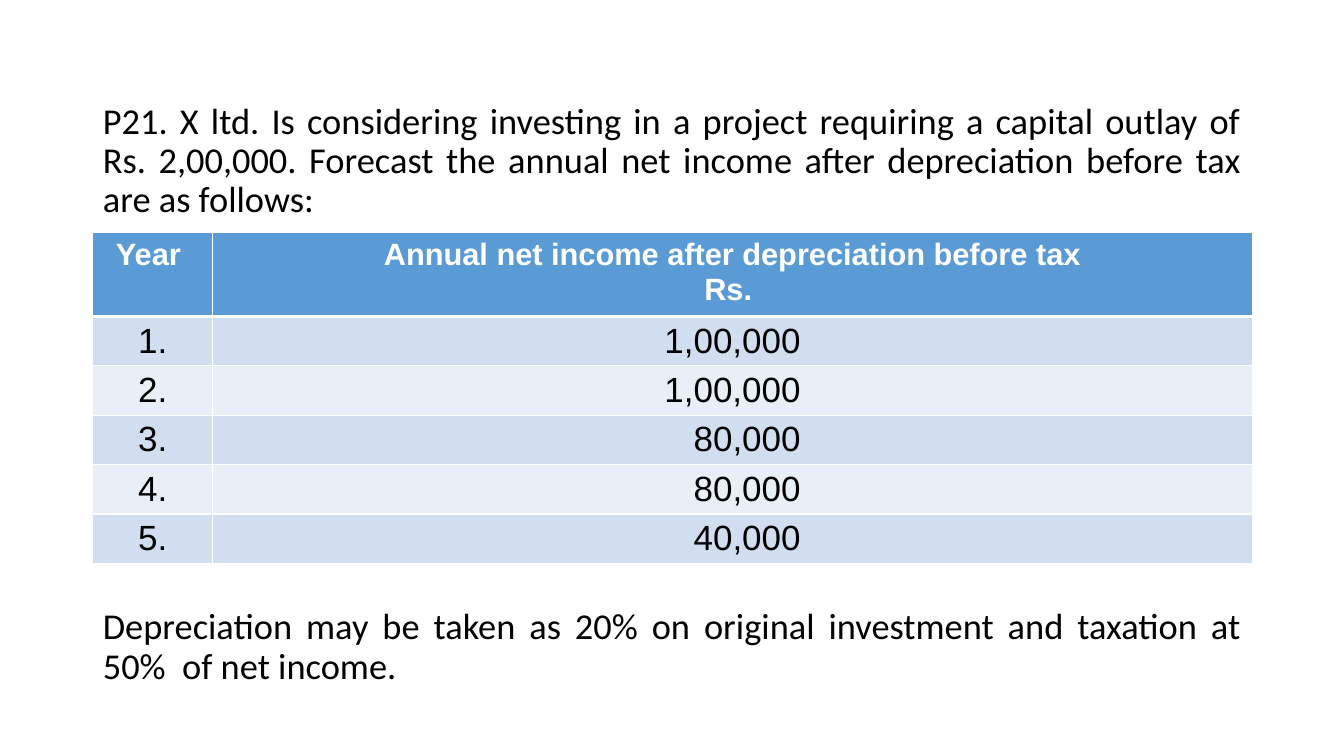
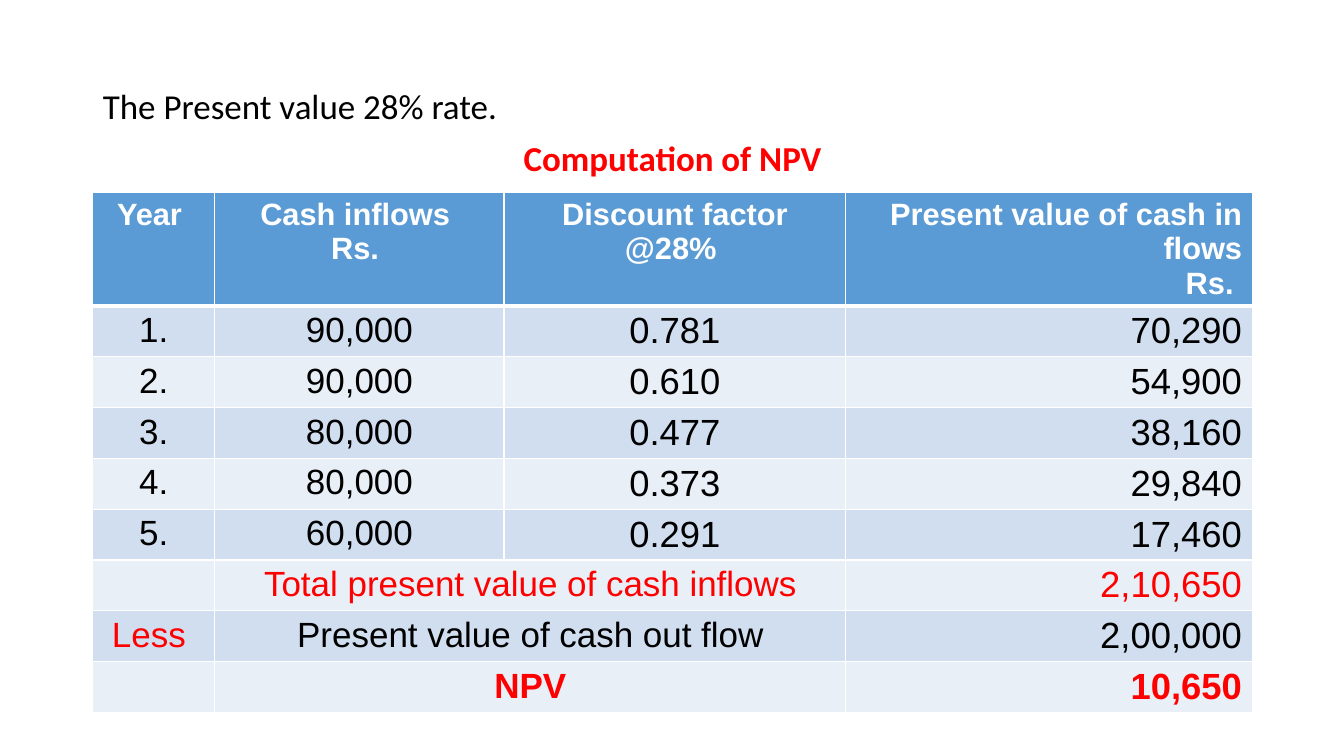
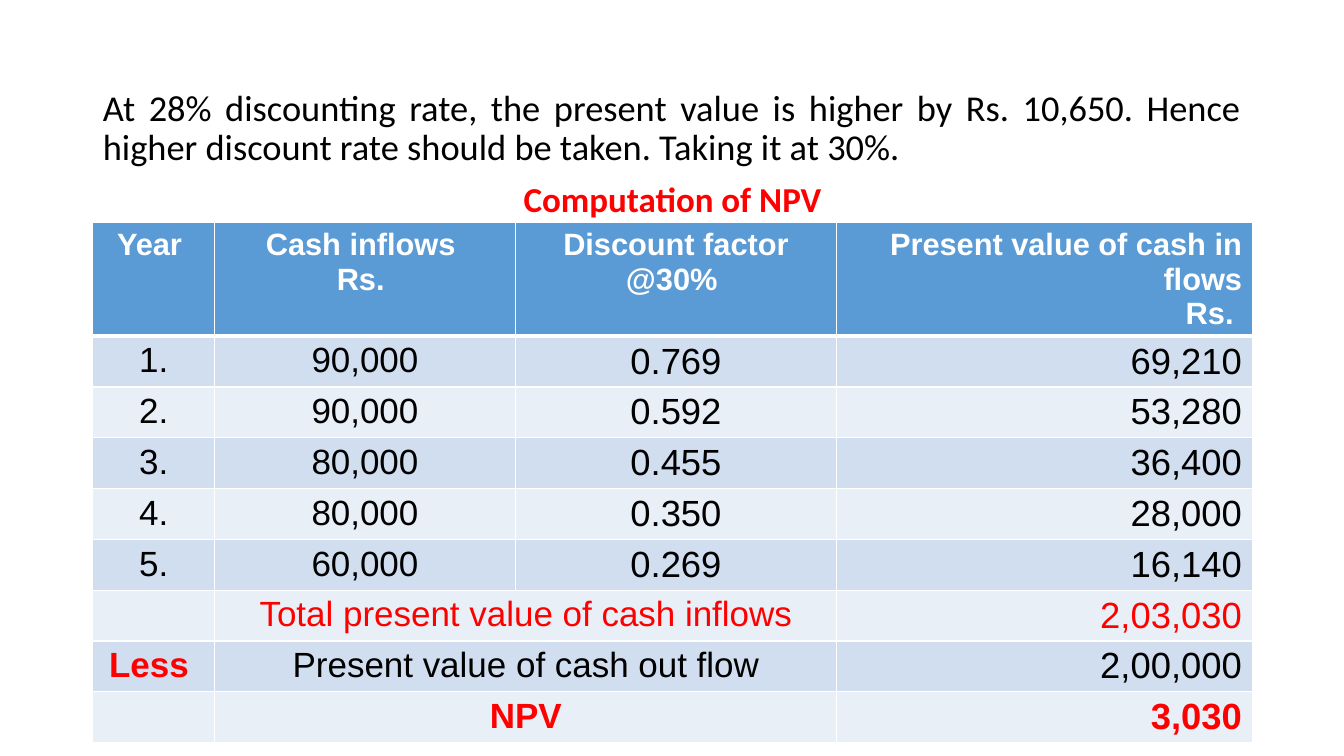
from dataclasses import dataclass

from lxml import etree
from pptx import Presentation
from pptx.dml.color import RGBColor
from pptx.enum.text import MSO_AUTO_SIZE, PP_ALIGN
from pptx.oxml.ns import qn
from pptx.util import Inches, Pt

CENTER = PP_ALIGN.CENTER
RIGHT = PP_ALIGN.RIGHT
JUSTIFY = PP_ALIGN.JUSTIFY
NO_AUTOFIT = MSO_AUTO_SIZE.NONE

BLACK = "000000"
WHITE = "FFFFFF"
RED = "FF0000"
HEADER_BLUE = "5B9BD5"
BAND_FILLS = ("D0DEEF", "E9EFF7")
BODY_FONT = "Calibri"
TABLE_FONT = "Arial"
LEFT = 0.92
WIDTH = 11.5
TITLE_AND_CONTENT = 1


@dataclass(frozen=True)
class Statement:
    text: str
    size: int = 26
    align: PP_ALIGN = JUSTIFY
    color: str = BLACK
    bold: bool = False
    space_before: int = 10


@dataclass(frozen=True)
class Entry:
    text: str
    size: int = 25
    color: str = BLACK
    bold: bool = False
    align: PP_ALIGN = CENTER
    span: int = 1
    margin_right: float = 0.1


@dataclass(frozen=True)
class Schedule:
    top: float
    columns: tuple[float, ...]
    header_height: float
    row_height: float
    rows: list[list[Entry]]


@dataclass(frozen=True)
class Problem:
    body_top: float
    body_height: float
    statements: list[Statement]
    schedule: Schedule


def rgb(color: str) -> RGBColor:
    return RGBColor.from_string(color)


def format_runs(paragraph, font_name: str, style: Statement | Entry) -> None:
    for run in paragraph.runs:
        run.font.name = font_name
        run.font.size = Pt(style.size)
        run.font.bold = style.bold
        run.font.color.rgb = rgb(style.color)


def write_body(body, problem: Problem) -> None:
    body.left, body.top = Inches(LEFT), Inches(problem.body_top)
    body.width, body.height = Inches(WIDTH), Inches(problem.body_height)
    frame = body.text_frame
    frame.auto_size = NO_AUTOFIT
    frame.text = "\n".join(statement.text for statement in problem.statements)
    for index, (paragraph, statement) in enumerate(zip(frame.paragraphs, problem.statements)):
        properties = paragraph._p.get_or_add_pPr()
        properties.set("marL", "0")
        properties.set("indent", "0")
        etree.SubElement(properties, qn("a:buNone"))
        paragraph.alignment = statement.align
        paragraph.line_spacing = 0.9
        paragraph.space_before = Pt(statement.space_before if index else 0)
        format_runs(paragraph, BODY_FONT, statement)


def add_borders(cell, top: int, bottom: int) -> None:
    properties = cell._tc.get_or_add_tcPr()
    for side, points in (("L", 1), ("R", 1), ("T", top), ("B", bottom)):
        line = etree.SubElement(properties, qn(f"a:ln{side}"), w=str(Pt(points)))
        fill = etree.SubElement(line, qn("a:solidFill"))
        etree.SubElement(fill, qn("a:srgbClr"), val=WHITE)


def paint_cell(cell, row: int) -> None:
    add_borders(cell, 3 if row == 1 else 1, 1 if row else 3)
    cell.fill.solid()
    cell.fill.fore_color.rgb = rgb(BAND_FILLS[(row - 1) % 2] if row else HEADER_BLUE)


def write_cell(cell, entry: Entry) -> None:
    cell.margin_right = Inches(entry.margin_right)
    cell.text_frame.text = entry.text
    for paragraph in cell.text_frame.paragraphs:
        paragraph.alignment = entry.align
        format_runs(paragraph, TABLE_FONT, entry)


def draw_schedule(slide, schedule: Schedule) -> None:
    row_count, column_count = len(schedule.rows), len(schedule.columns)
    height = schedule.header_height + (row_count - 1) * schedule.row_height
    table = slide.shapes.add_table(
        row_count, column_count, Inches(LEFT), Inches(schedule.top), Inches(WIDTH), Inches(height)
    ).table
    for column, width in zip(table.columns, schedule.columns):
        column.width = Inches(width)
    for row, entries in enumerate(schedule.rows):
        table.rows[row].height = Inches(schedule.row_height if row else schedule.header_height)
        for column in range(column_count):
            paint_cell(table.cell(row, column), row)
        column = 0
        for entry in entries:
            cell = table.cell(row, column)
            if entry.span > 1:
                cell.merge(table.cell(row, column + entry.span - 1))
            if entry.text:
                write_cell(cell, entry)
            column += entry.span


def heading(text: str, align: PP_ALIGN = CENTER) -> Entry:
    return Entry(text, 22, WHITE, True, align)


def amount(text: str, color: str = BLACK, bold: bool = False) -> Entry:
    return Entry(text, 26, color, bold, RIGHT)


def income_rows(incomes: list[str]) -> list[list[Entry]]:
    headings = [heading("Year "), heading("Annual net income after depreciation before tax\nRs. ")]
    return [headings] + [
        [Entry(f"{year}."), Entry(income, align=RIGHT, margin_right=4.48)]
        for year, income in enumerate(incomes, 1)
    ]


def npv_rows(rate: str, factors: list[str], present_values: list[str],
             total: str, npv: str, less_bold: bool) -> list[list[Entry]]:
    headings = [
        heading("Year "),
        heading("Cash inflows \nRs. "),
        heading(f"Discount factor @{rate} "),
        heading("Present value of cash in flows\nRs. ", RIGHT),
    ]
    years = [
        [Entry(f"{year}."), Entry(inflow), Entry(factor, 26), amount(value)]
        for year, (inflow, factor, value) in enumerate(zip(CASH_INFLOWS, factors, present_values), 1)
    ]
    summary = [
        [Entry(""), Entry("Total present value of cash inflows", color=RED, span=2), amount(total, RED)],
        [Entry("Less ", color=RED, bold=less_bold), Entry("Present value of cash out flow", span=2),
         amount("2,00,000")],
        [Entry(""), Entry("NPV", color=RED, bold=True, span=2), amount(npv, RED, True)],
    ]
    return [headings] + years + summary


CASH_INFLOWS = ["90,000", "90,000", "80,000", "80,000", "60,000"]
NPV_CAPTION = Statement("Computation of NPV", 25, CENTER, RED, True)

PROBLEMS = [
    Problem(0.97, 6.1, [
        Statement("P21. X ltd. Is considering investing in a project requiring a capital outlay of "
                  "Rs. 2,00,000. Forecast the annual net income after depreciation before tax "
                  "are as follows:"),
        Statement("Depreciation may be taken as 20% on original investment and taxation at "
                  "50%  of net income.", space_before=277),
    ], Schedule(2.31, (1.19, 10.31), 0.83, 0.49,
                income_rows(["1,00,000", "1,00,000", "80,000", "80,000", "40,000"]))),
    Problem(0.84, 6.17, [
        Statement("The Present value 28% rate.", 25),
        NPV_CAPTION,
    ], Schedule(1.91, (1.21, 2.87, 3.39, 4.03), 1.12, 0.5, npv_rows(
        "28%",
        ["0.781", "0.610", "0.477", "0.373", "0.291"],
        ["70,290", "54,900", "38,160", "29,840", "17,460"],
        "2,10,650", "10,650", False))),
    Problem(0.84, 6.47, [
        Statement("At 28% discounting rate, the present value is higher by Rs. 10,650. Hence "
                  "higher discount rate should be taken. Taking it at 30%."),
        NPV_CAPTION,
    ], Schedule(2.21, (1.21, 2.98, 3.19, 4.12), 1.12, 0.5, npv_rows(
        "30%",
        ["0.769", "0.592", "0.455", "0.350", "0.269"],
        ["69,210", "53,280", "36,400", "28,000", "16,140"],
        "2,03,030", "3,030", True))),
]


def main() -> None:
    deck = Presentation()
    deck.slide_width, deck.slide_height = Inches(13.33), Inches(7.5)
    for problem in PROBLEMS:
        slide = deck.slides.add_slide(deck.slide_layouts[TITLE_AND_CONTENT])
        title = slide.shapes.title.element
        title.getparent().remove(title)
        write_body(slide.placeholders[1], problem)
        draw_schedule(slide, problem.schedule)
    deck.save("out.pptx")


if __name__ == "__main__":
    main()
